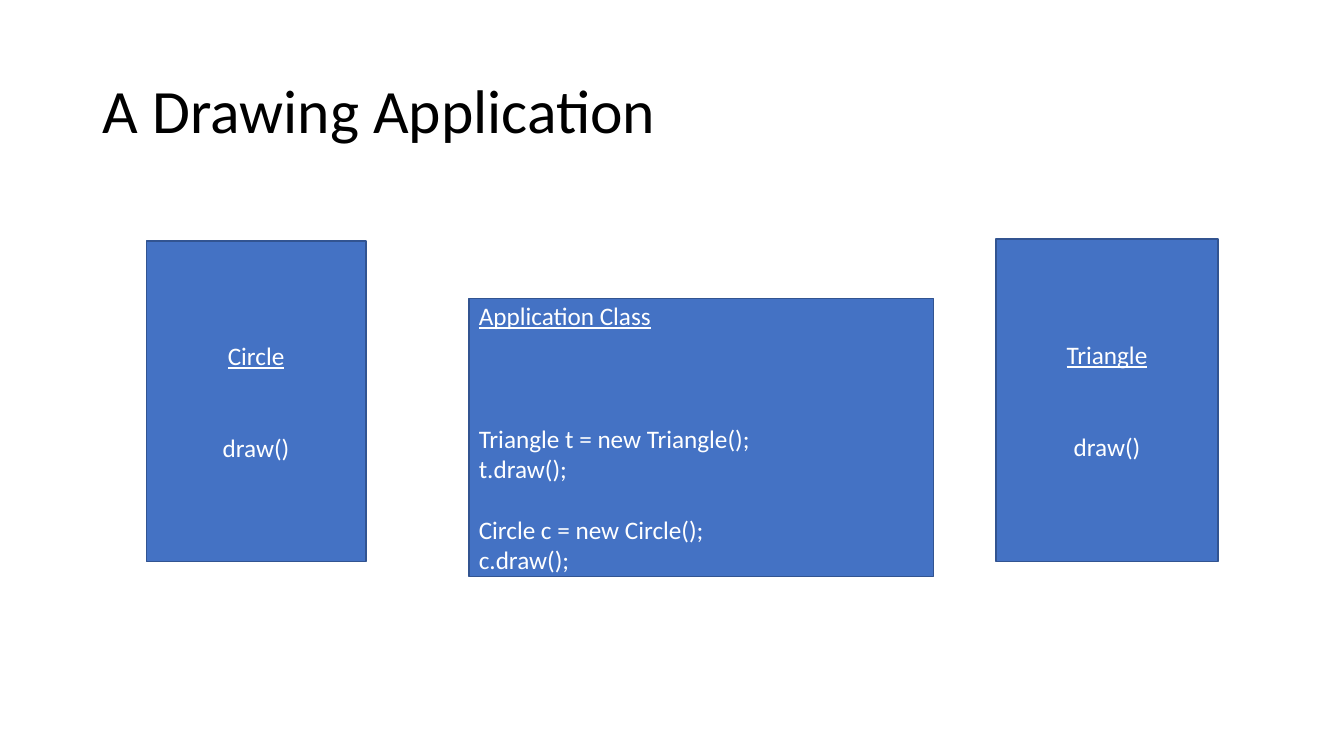
from pptx import Presentation
from pptx.dml.color import RGBColor
from pptx.enum.shapes import MSO_SHAPE
from pptx.enum.text import MSO_ANCHOR, MSO_AUTO_SIZE, PP_ALIGN
from pptx.util import Inches, Pt

COLORS = {"text": "000000", "box": "4472C4", "edge": "325491", "label": "FFFFFF"}
LINE_PITCH = 22


class SlideBuilder:
    font_name = "Calibri"

    def __init__(self, prs):
        self.slide = prs.slides.add_slide(prs.slide_layouts[5])

    def color(self, name):
        return RGBColor.from_string(COLORS[name])

    def place(self, sp, left, top, width, height):
        sp.left, sp.top = Inches(left), Inches(top)
        sp.width, sp.height = Inches(width), Inches(height)

    def style(self, p, size, color, align, underline=False):
        p.alignment = align
        for r in p.runs:
            r.font.name = self.font_name
            r.font.size = Pt(size)
            r.font.color.rgb = self.color(color)
            r.font.underline = underline

    def title(self, text, *box):
        sp = self.slide.shapes.title
        self.place(sp, *box)
        tf = sp.text_frame
        tf.text = text
        tf.word_wrap = True
        tf.auto_size = MSO_AUTO_SIZE.NONE
        tf.vertical_anchor = MSO_ANCHOR.MIDDLE
        p = tf.paragraphs[0]
        p.line_spacing = 0.9
        self.style(p, 44, "text", PP_ALIGN.LEFT)

    def class_box(self, lines, box, align=PP_ALIGN.CENTER):
        """Draw a class; lines holds (text, number of lines left free above it)."""
        sp = self.slide.shapes.add_shape(MSO_SHAPE.RECTANGLE, *map(Inches, box))
        sp.shadow.inherit = False
        sp.fill.solid()
        sp.fill.fore_color.rgb = self.color("box")
        sp.line.color.rgb = self.color("edge")
        sp.line.width = Pt(1)
        tf = sp.text_frame
        tf.word_wrap = True
        tf.vertical_anchor = MSO_ANCHOR.MIDDLE
        tf.text = "\n".join(text for text, gap in lines)
        for i, (p, (text, gap)) in enumerate(zip(tf.paragraphs, lines)):
            if gap:
                p.space_before = Pt(gap * LINE_PITCH)
            self.style(p, 18, "label", align, underline=i == 0)


def main():
    prs = Presentation()
    prs.slide_width, prs.slide_height = Inches(13.33), Inches(7.5)
    s = SlideBuilder(prs)
    s.title("A Drawing Application", 0.92, 0.4, 11.5, 1.45)

    shape_classes = {
        "Circle": (1.45, 2.39, 2.18, 3.18),
        "Triangle": (9.88, 2.37, 2.2, 3.2),
    }
    for name, box in shape_classes.items():
        s.class_box([(name, 0), ("draw()", 2)], box)

    application = [
        ("Application Class", 0),
        ("Triangle t = new Triangle();", 3),
        ("t.draw();", 0),
        ("Circle c = new Circle();", 1),
        ("c.draw();", 0),
    ]
    s.class_box(application, (4.65, 2.96, 4.61, 2.76), PP_ALIGN.LEFT)
    prs.save("out.pptx")


if __name__ == "__main__":
    main()
